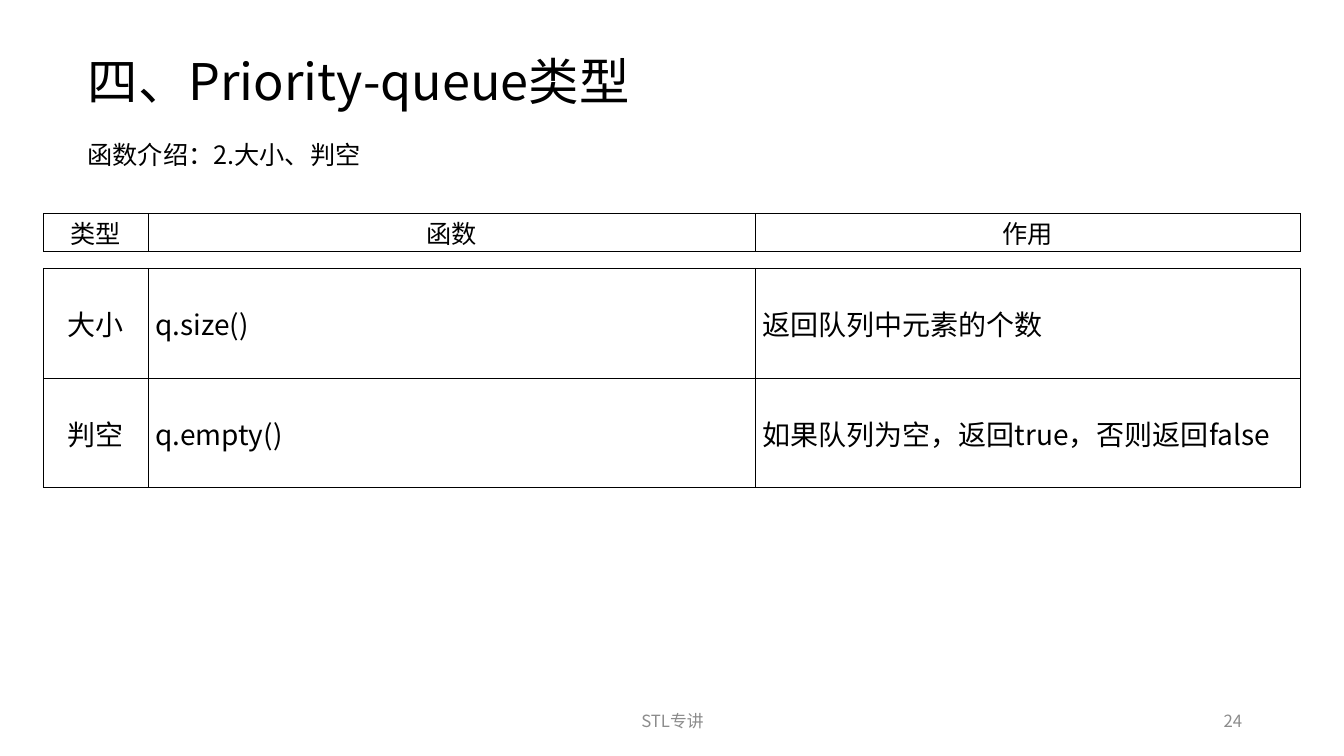
from lxml.etree import SubElement
from pptx import Presentation
from pptx.dml.color import RGBColor
from pptx.enum.text import MSO_ANCHOR, MSO_AUTO_SIZE, PP_ALIGN
from pptx.oxml.ns import qn
from pptx.util import Pt

PX = 9144  # EMU per px, 100 px to the inch
FONT = "Noto Sans CJK SC"
BLACK = RGBColor(0x00, 0x00, 0x00)
GRAY = RGBColor(0x8C, 0x8C, 0x8C)
COLUMNS = (104, 602, 541)


def px(*lengths):
    return [length * PX for length in lengths]


def write(tf, text, size, color=BLACK, align=PP_ALIGN.LEFT):
    p = tf.paragraphs[0]
    p.alignment = align
    r = p.add_run()
    r.text = text
    r.font.size = Pt(size)
    r.font.color.rgb = color
    r.font.name = FONT
    SubElement(r.font._element, qn("a:ea"), typeface=FONT)


def format_frame(tf, anchor):
    tf.word_wrap = True
    tf.auto_size = MSO_AUTO_SIZE.NONE
    tf.vertical_anchor = anchor
    tf.margin_left, tf.margin_top, tf.margin_right, tf.margin_bottom = px(10, 5, 10, 5)


def add_title(slide, box, text):
    title = slide.shapes.title
    title.left, title.top, title.width, title.height = px(*box)
    format_frame(title.text_frame, MSO_ANCHOR.TOP)
    write(title.text_frame, text, 36)


def add_text(slide, box, text, size, anchor=MSO_ANCHOR.TOP, **style):
    tf = slide.shapes.add_textbox(*px(*box)).text_frame
    format_frame(tf, anchor)
    write(tf, text, size, **style)


def add_borders(cell):
    tcPr = cell._tc.get_or_add_tcPr()
    for side in ("lnL", "lnR", "lnT", "lnB"):
        ln = SubElement(tcPr, qn(f"a:{side}"), w=str(Pt(0.5)))
        fill = SubElement(ln, qn("a:solidFill"))
        SubElement(fill, qn("a:srgbClr"), val=str(BLACK))


def add_grid(slide, box, rows, size, centered):
    """Draw a ruled table; the first `centered` columns are centred."""
    frame = slide.shapes.add_table(len(rows), len(COLUMNS), *px(*box))
    table = frame.table
    table.first_row = table.horz_banding = False
    for column, width in zip(table.columns, COLUMNS):
        column.width = width * PX
    for i, row in enumerate(rows):
        for j, text in enumerate(row):
            cell = table.cell(i, j)
            is_centered = j < centered
            cell.margin_left, cell.margin_top, cell.margin_right, cell.margin_bottom = px(
                1 if is_centered else 7, 1, 1, 0)
            cell.vertical_anchor = MSO_ANCHOR.MIDDLE
            add_borders(cell)
            cell.fill.background()
            write(cell.text_frame, text, size,
                  align=PP_ALIGN.CENTER if is_centered else PP_ALIGN.LEFT)


def add_footer(slide, box, text, number):
    left, top, width, height = box
    add_text(slide, box, text, 12, MSO_ANCHOR.MIDDLE, color=GRAY, align=PP_ALIGN.CENTER)
    add_text(slide, (left + width + 50, top, 300, height), number, 12,
             MSO_ANCHOR.MIDDLE, color=GRAY, align=PP_ALIGN.RIGHT)


def main():
    prs = Presentation()
    prs.slide_width, prs.slide_height = px(1333, 750)
    slide = prs.slides.add_slide(prs.slide_layouts[5])
    add_title(slide, (77, 45, 734, 71), "四、Priority-queue类型")
    add_text(slide, (77, 133, 540, 40), "函数介绍：2.大小、判空", 18)
    width = sum(COLUMNS)
    add_grid(slide, (43, 212, width, 32), [("类型", "函数", "作用")], 18, centered=3)
    add_grid(slide, (43, 266, width, 218), [
        ("大小", "q.size()", "返回队列中元素的个数"),
        ("判空", "q.empty()", "如果队列为空，返回true，否则返回false"),
    ], 20, centered=1)
    add_footer(slide, (442, 695, 450, 40), "STL专讲", "24")
    prs.save("out.pptx")


if __name__ == "__main__":
    main()
